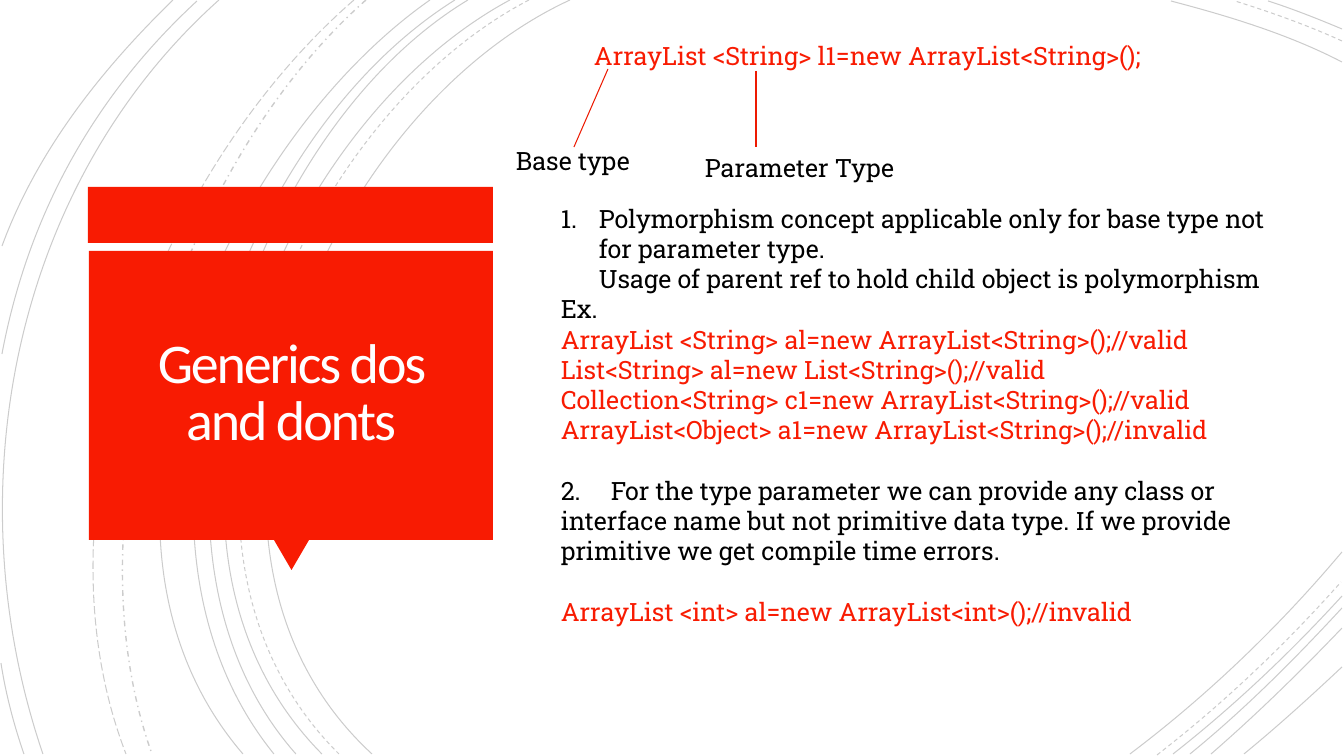
from pptx import Presentation
from pptx.dml.color import RGBColor
from pptx.enum.dml import MSO_LINE
from pptx.enum.shapes import MSO_CONNECTOR, MSO_SHAPE
from pptx.enum.text import MSO_ANCHOR, PP_ALIGN
from pptx.oxml.ns import qn
from pptx.util import Emu, Pt
from lxml import etree

SOLID, DASH = MSO_LINE.SOLID, MSO_LINE.DASH
LONG_DASH, DASH_DOT = MSO_LINE.LONG_DASH, MSO_LINE.DASH_DOT
STRAIGHT = MSO_CONNECTOR.STRAIGHT
RECTANGLE, TRIANGLE = MSO_SHAPE.RECTANGLE, MSO_SHAPE.ISOSCELES_TRIANGLE
MIDDLE, CENTER = MSO_ANCHOR.MIDDLE, PP_ALIGN.CENTER

EMU_PER_PIXEL = 914400 / 100.8
RED, POINTER_RED = "F81B02", "ED1A02"
BLACK, WHITE = "000000", "FFFEFF"
BODY_FONT, TITLE_FONT = "Roboto Slab", "Calibri"
BODY_SIZE, LINE_HEIGHT = 18, 21.6
INDENT, TAB_STOP = 38, 50

ARCS = [
    (SOLID, 0.75, [
        [(570, 0), (318, 116), (144, 544), (372, 754)],
        [(510, 0), (272, 128), (111, 541), (322, 754)],
        [(468, 0), (246, 134), (111, 545), (296, 754)],
        [(455, 0), (233, 139), (98, 537), (274, 754)],
        [(430, 0), (219, 148), (53, 533), (243, 754)],
        [(219, 0), (11, 186), (-46, 494), (43, 754)],
        [(197, 1), (93, 97), (28, 216), (2, 354)],
        [(173, 0), (101, 70), (37, 151), (2, 246)],
        [(1, 663), (6, 695), (14, 725), (24, 754)],
        [(1342, 62), (1288, 34), (1228, 16), (1171, 1)],
        [(1342, 29), (1318, 19), (1293, 9), (1268, 1)],
        [(1130, 754), (1207, 696), (1279, 627), (1342, 552)],
        [(1173, 754), (1233, 707), (1290, 653), (1342, 596)],
        [(1190, 754), (1244, 710), (1294, 660), (1342, 608)],
        [(1211, 754), (1256, 715), (1300, 672), (1342, 628)],
        [(1244, 754), (1277, 727), (1309, 698), (1342, 667)],
    ]),
    (DASH, 0.75, [
        [(529, 0), (287, 126), (124, 541), (339, 754)],
        [(1342, 41), (1307, 25), (1270, 12), (1235, 1)],
        [(1157, 755), (1223, 704), (1285, 645), (1341, 582)],
    ]),
    (DASH_DOT, 1, [[(366, 0), (177, 167), (66, 513), (152, 754)]]),
    (LONG_DASH, 0.75, [[(354, 0), (158, 170), (29, 503), (126, 754)]]),
]

RULES = [
    ("Polymorphism concept applicable only for base type not for parameter type.", BLACK),
    ("Usage of parent ref to hold child object is polymorphism", BLACK),
    ("Ex.", BLACK),
    ("ArrayList <String> al=new ArrayList<String>();//valid", RED),
    ("List<String> al=new List<String>();//valid", RED),
    ("Collection<String> c1=new ArrayList<String>();//valid", RED),
    ("ArrayList<Object> a1=new ArrayList<String>();//invalid", RED),
    ("2. \tFor the type parameter we can provide any class or interface name but not "
     "primitive data type. If we provide primitive we get compile time errors.", BLACK),
    ("ArrayList <int> al=new ArrayList<int>();//invalid", RED),
]
NUMBERED, INDENTED, TABBED, LAST = 0, 1, 7, 8


def px(length):
    return Emu(round(length * EMU_PER_PIXEL))


def color(value):
    return RGBColor.from_string(value)


def add_text(page, box, lines, font=BODY_FONT, size=BODY_SIZE):
    frame = page.shapes.add_textbox(*map(px, box)).text_frame
    frame.word_wrap = True
    frame.text = "\n".join(text for text, _ in lines)
    for para, (_, value) in zip(frame.paragraphs, lines):
        for span in para.runs:
            span.font.name = font
            span.font.size = Pt(size)
            span.font.color.rgb = color(value)
    return frame


def add_block(page, preset, box):
    block = page.shapes.add_shape(preset, *map(px, box))
    block.shadow.inherit = False
    block.fill.solid()
    block.fill.fore_color.rgb = color(RED)
    block.line.fill.background()
    return block


def add_pointer(page, start, end):
    pointer = page.shapes.add_connector(STRAIGHT, *map(px, start + end))
    pointer.line.color.rgb = color(POINTER_RED)
    pointer.line.width = Pt(0.75)
    etree.SubElement(pointer._element.spPr, qn("a:effectLst"))


def add_arc(page, controls, dash, width):
    start, *others = [tuple(map(px, point)) for point in controls]
    builder = page.shapes.build_freeform(*start, scale=1.0)
    builder.add_line_segments(others, close=False)
    arc = builder.convert_to_shape()
    outline = arc._element.find(".//" + qn("a:path"))
    segments = outline.findall(qn("a:lnTo"))
    curve = etree.SubElement(outline, qn("a:cubicBezTo"))
    for segment in segments:
        curve.append(segment[0])
        outline.remove(segment)
    arc.shadow.inherit = False
    arc.fill.background()
    arc.line.color.rgb = color(BLACK)
    arc.line.width = Pt(width)
    arc.line.dash_style = dash
    tint = arc.line._ln.find(".//" + qn("a:srgbClr"))
    etree.SubElement(tint, qn("a:alpha"), val="20000")


def draw_background(page, left, top):
    for dash, width, curves in ARCS:
        for controls in curves:
            add_arc(page, [(left + x, top + y) for x, y in controls], dash, width)


def draw_title(page, left, top, width, height):
    band, gap, tail_width, tail_height = 56, 8, 35, 30
    panel_top = top + band + gap
    panel_height = height - band - gap - tail_height
    add_block(page, RECTANGLE, (left, top, width, band))
    tail = add_block(page, TRIANGLE, (left + 186, panel_top + panel_height,
                                      tail_width, tail_height))
    tail.rotation = 180
    add_block(page, RECTANGLE, (left + 1, panel_top, width - 1, panel_height))
    frame = add_text(page, (left + 10, panel_top + 8, width - 19, panel_height - 18),
                     [("Generics dos and donts", WHITE)], TITLE_FONT, 40)
    frame.vertical_anchor = MIDDLE
    frame.margin_left = frame.margin_right = px(25)
    frame.margin_top = frame.margin_bottom = px(25)
    para = frame.paragraphs[0]
    para.alignment = CENTER
    para.line_spacing = 0.85
    para.runs[0]._r.get_or_add_rPr().set("spc", "-150")


def draw_declaration(page, left, top):
    add_text(page, (left + 79, top, 705, 40),
             [("ArrayList <String> l1=new ArrayList<String>();", RED)])
    add_pointer(page, (left + 103, top + 34), (left + 69, top + 112))
    add_text(page, (left + 1, top + 105, 143, 40), [("Base type", BLACK)])
    add_pointer(page, (left + 251, top + 36), (left + 251, top + 112))
    add_text(page, (left + 190, top + 112, 215, 40), [("Parameter Type", BLACK)])


def draw_rules(page, box):
    paras = add_text(page, box, RULES).paragraphs
    for index, hanging in ((NUMBERED, -INDENT), (INDENTED, 0)):
        properties = paras[index]._p.get_or_add_pPr()
        properties.set("marL", str(px(INDENT)))
        properties.set("indent", str(px(hanging)))
    etree.SubElement(paras[NUMBERED]._p.get_or_add_pPr(), qn("a:buAutoNum"),
                     type="arabicPeriod")
    for index in (TABBED, LAST):
        paras[index].space_before = Pt(LINE_HEIGHT)
    stops = etree.SubElement(paras[TABBED]._p.get_or_add_pPr(), qn("a:tabLst"))
    etree.SubElement(stops, qn("a:tab"), pos=str(px(TAB_STOP)), algn="l")


deck = Presentation()
deck.slide_width, deck.slide_height = px(1344), px(756)
generics = deck.slides.add_slide(deck.slide_layouts[6])
draw_background(generics, 0, 0)
draw_title(generics, 88, 187, 405, 383)
draw_declaration(generics, 505, 35)
draw_rules(generics, (551, 198, 759, 468))
deck.save("out.pptx")
